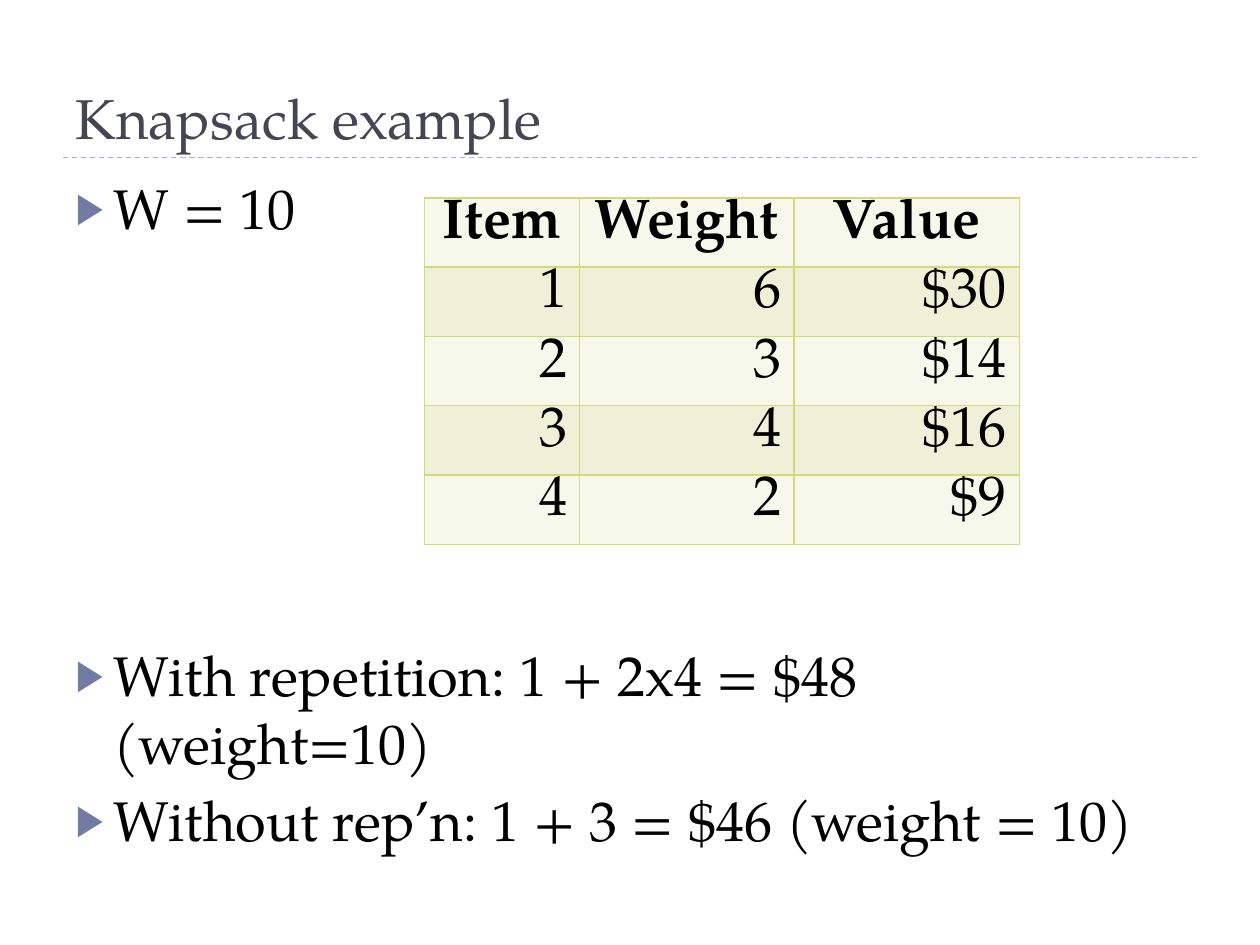
from dataclasses import dataclass

from lxml import etree
from pptx import Presentation
from pptx.dml.color import RGBColor
from pptx.enum import dml, shapes, text
from pptx.oxml import ns
from pptx.util import Inches, Pt

FONT = "TeX Gyre Pagella"
SIZE = Pt(32)
BLACK = RGBColor(0x00, 0x00, 0x00)
TITLE_COLOR = RGBColor(0x46, 0x46, 0x53)
RULE_COLOR = RGBColor(0x9F, 0xB8, 0xCD)
BULLET_COLOR = RGBColor(0x72, 0x7C, 0xA3)
BORDER_COLOR = RGBColor(0xD2, 0xDA, 0x7A)
BANDS = (RGBColor(0xF7, 0xF8, 0xEC), RGBColor(0xEE, 0xF1, 0xD7))

MARGIN = 0.05  # share of the slide's width
RULE_Y = 1 / 6  # share of the slide's height


@dataclass
class Bullet:
    words: str
    space_before: float = 6


BULLETS = [
    Bullet("W = 10"),
    Bullet("With repetition: 1 + 2x4 = $48 (weight=10)", 228.5),  # leaves room for the table
    Bullet("Without rep’n: 1 + 3 = $46 (weight = 10)"),
]
ITEMS = [
    ("Item", "Weight", "Value"),
    ("1", "6", "$30"),
    ("2", "3", "$14"),
    ("3", "4", "$16"),
    ("4", "2", "$9"),
]
COLUMN_WIDTHS = (1.23, 1.70, 1.79)
ROW_HEIGHT = 0.55


def add_run(paragraph, words: str, color: RGBColor = BLACK, bold: bool = False) -> None:
    run = paragraph.add_run()
    run.text = words
    run.font.name = FONT
    run.font.size = SIZE
    run.font.bold = bold
    run.font.color.rgb = color


def add_child(parent, tag: str, **attributes: str):
    return etree.SubElement(parent, ns.qn(tag), attributes)


def add_bullet_mark(paragraph) -> None:
    properties = paragraph._p.get_or_add_pPr()
    properties.set("marL", str(Inches(0.3)))
    properties.set("indent", str(-Inches(0.3)))
    color = add_child(properties, "a:buClr")
    add_child(color, "a:srgbClr", val=str(BULLET_COLOR))
    add_child(properties, "a:buSzPct", val="76000")
    add_child(properties, "a:buChar", char="▶")


def add_borders(cell) -> None:
    properties = cell._tc.get_or_add_tcPr()
    for position, side in enumerate(("a:lnL", "a:lnR", "a:lnT", "a:lnB")):
        line = etree.Element(ns.qn(side), w=str(Pt(1)))
        fill = add_child(line, "a:solidFill")
        add_child(fill, "a:srgbClr", val=str(BORDER_COLOR))
        properties.insert(position, line)


def place(shape, left: int, top: int, width: int, height: int) -> None:
    shape.left, shape.top, shape.width, shape.height = left, top, width, height


def add_rule(slide, left: int, right: int, y: int) -> None:
    rule = slide.shapes.add_connector(shapes.MSO_CONNECTOR.STRAIGHT, left, y, right, y)
    rule.line.color.rgb = RULE_COLOR
    rule.line.width = Pt(0.75)
    rule.line.dash_style = dml.MSO_LINE.DASH
    add_child(rule._element.spPr, "a:effectLst")


def fill_title(title, words: str) -> None:
    frame = title.text_frame
    frame.auto_size = text.MSO_AUTO_SIZE.NONE
    frame.vertical_anchor = text.MSO_ANCHOR.BOTTOM
    paragraph = frame.paragraphs[0]
    paragraph.alignment = text.PP_ALIGN.LEFT
    add_run(paragraph, words, TITLE_COLOR)


def fill_body(body, bullets: list[Bullet]) -> None:
    frame = body.text_frame
    frame.auto_size = text.MSO_AUTO_SIZE.NONE
    frame.margin_right = Inches(0.2)
    for index, bullet in enumerate(bullets):
        paragraph = frame.add_paragraph() if index else frame.paragraphs[0]
        paragraph.space_before = Pt(bullet.space_before)
        add_bullet_mark(paragraph)
        add_run(paragraph, bullet.words)


def add_item_table(slide, left: int, top: int) -> None:
    frame = slide.shapes.add_table(
        len(ITEMS), len(COLUMN_WIDTHS), left, top,
        Inches(sum(COLUMN_WIDTHS)), Inches(ROW_HEIGHT * len(ITEMS)),
    )
    table = frame.table
    for column, width in zip(table.columns, COLUMN_WIDTHS):
        column.width = Inches(width)
    for row_index, values in enumerate(ITEMS):
        is_header = row_index == 0
        for column_index, value in enumerate(values):
            cell = table.cell(row_index, column_index)
            cell.margin_top = cell.margin_bottom = 0
            cell.fill.solid()
            cell.fill.fore_color.rgb = BANDS[row_index % 2]
            add_borders(cell)
            paragraph = cell.text_frame.paragraphs[0]
            paragraph.alignment = text.PP_ALIGN.CENTER if is_header else text.PP_ALIGN.RIGHT
            add_run(paragraph, value, bold=is_header)


def main() -> None:
    presentation = Presentation()
    presentation.slide_width, presentation.slide_height = Inches(10), Inches(7.5)
    width, height = presentation.slide_width, presentation.slide_height
    slide = presentation.slides.add_slide(presentation.slide_layouts[1])
    left, rule_y = int(width * MARGIN), int(height * RULE_Y)
    content_width = width - 2 * left

    # Title above the dashed rule
    title, body = slide.placeholders
    place(title, left, Inches(0.17), content_width, rule_y - Inches(0.17))
    fill_title(title, "Knapsack example")
    add_rule(slide, left, width - left, rule_y)

    # Bullets, with the item table between the first and the second
    place(body, left, rule_y + Inches(0.08), content_width, Inches(5.4))
    fill_body(body, BULLETS)
    add_item_table(slide, Inches(3.37), Inches(1.57))

    presentation.save("out.pptx")


if __name__ == "__main__":
    main()
